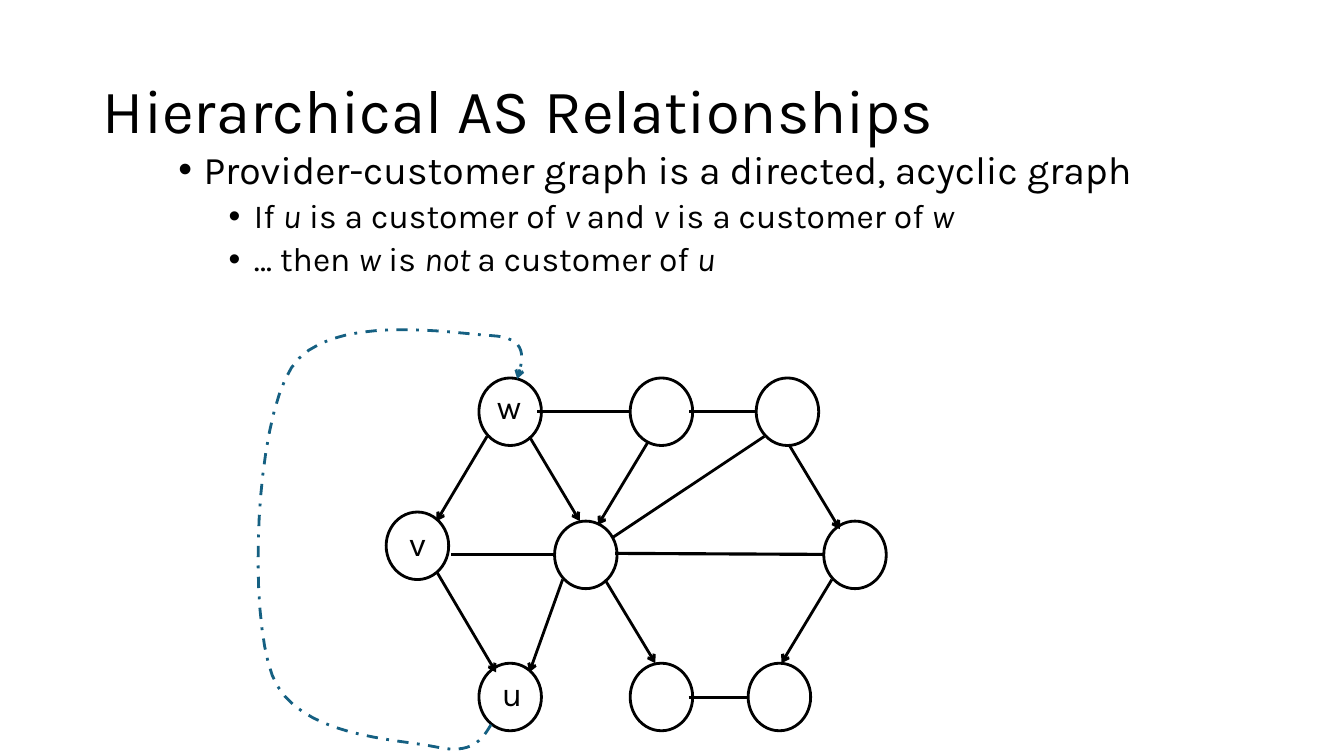
from lxml import etree
from pptx import Presentation
from pptx.dml.color import RGBColor
from pptx.enum.dml import MSO_LINE
from pptx.enum.shapes import MSO_CONNECTOR, MSO_SHAPE
from pptx.enum.text import MSO_ANCHOR, MSO_AUTO_SIZE, PP_ALIGN
from pptx.oxml.ns import qn
from pptx.util import Inches, Pt

STRAIGHT = MSO_CONNECTOR.STRAIGHT
OVAL = MSO_SHAPE.OVAL
DASH_DOT = MSO_LINE.DASH_DOT
MIDDLE = MSO_ANCHOR.MIDDLE
LEFT = PP_ALIGN.LEFT
NO_FIT, GROW = MSO_AUTO_SIZE.NONE, MSO_AUTO_SIZE.SHAPE_TO_FIT_TEXT

COLORS = {"ink": "000000", "cycle": "156082"}
FONT = "Karla"
NODE_WIDTH, NODE_HEIGHT = 0.62, 0.67
CURVE_STEPS = 16


def add_run(para, text, size, italic=False):
    span = para.add_run()
    span.text = text
    for name, value in {"name": FONT, "size": Pt(size), "italic": italic}.items():
        setattr(span.font, name, value)
    span.font.color.rgb = RGBColor.from_string(COLORS["ink"])


def style_line(shape, color="ink", width=2, arrow=False, dash=None):
    """Set the outline, with an optional open arrowhead, and drop the shadow."""
    shape.line.color.rgb = RGBColor.from_string(COLORS[color])
    shape.line.width = Pt(width)
    if dash:
        shape.line.dash_style = dash
    properties = shape._element.spPr
    if arrow:
        etree.SubElement(properties.find(qn("a:ln")), qn("a:tailEnd"), type="arrow")
    etree.SubElement(properties, qn("a:effectLst"))


deck = Presentation()
deck.slide_width, deck.slide_height = Inches(13.33), Inches(7.5)
page = deck.slides.add_slide(deck.slide_layouts[5])

# Title
title = page.shapes.title
title_place = {"left": 0.92, "top": 0.4, "width": 11.5, "height": 1.45}
for name, value in title_place.items():
    setattr(title, name, Inches(value))
title.text_frame.vertical_anchor = MIDDLE
title.text_frame.auto_size = NO_FIT
heading = title.text_frame.paragraphs[0]
heading.alignment = LEFT
heading.line_spacing = 0.9
add_run(heading, "Hierarchical AS Relationships", 44)

# Bullets: level, size, space before, left margin, then runs alternating upright and italic
bullets = [
    (0, 28, 10, 0.25, ["Provider-customer graph is a directed, acyclic graph"]),
    (1, 24, 5, 0.75, ["If ", "u", " is a customer of ", "v ", "and ", "v",
                      " is a customer of ", "w"]),
    (1, 24, 5, 0.75, ["… then ", "w", " is ", "not ", "a customer of ", "u"]),
]
body = page.shapes.add_textbox(Inches(1.67), Inches(1.44), Inches(9.89), Inches(1.82))
body.text_frame.word_wrap = True
for index, (level, size, space, margin, texts) in enumerate(bullets):
    para = body.text_frame.add_paragraph() if index else body.text_frame.paragraphs[0]
    para_format = {"level": level, "line_spacing": 0.9, "space_before": Pt(space)}
    for name, value in para_format.items():
        setattr(para, name, value)
    properties = para._p.get_or_add_pPr()
    properties.set("marL", str(Inches(margin)))
    properties.set("indent", str(Inches(-0.25)))
    etree.SubElement(properties, qn("a:buFont"), typeface="Arial")
    etree.SubElement(properties, qn("a:buChar"), char="•")
    for position, text in enumerate(texts):
        add_run(para, text, size, italic=position % 2 == 1)

# Networks: top of each row and the left edges in it
node_rows = [
    (3.75, [4.75, 6.25, 7.5]),
    (5.08, [3.83]),
    (5.17, [5.5, 8.17]),
    (6.58, [4.75, 6.25, 7.42]),
]
for top, lefts in node_rows:
    for left in lefts:
        node = page.shapes.add_shape(OVAL, Inches(left), Inches(top),
                                     Inches(NODE_WIDTH), Inches(NODE_HEIGHT))
        node.fill.background()
        style_line(node)

# Peer links are plain; provider-to-customer links end in an arrow
peer_links = [
    (6.1, 5.49, 8.17, 5.5, 2.25),
    (5.5, 5.5, 4.47, 5.5, 2),
    (6.83, 6.92, 7.42, 6.92, 2.25),
    (6.25, 4.08, 5.33, 4.08, 2),
    (7.5, 4.08, 6.83, 4.08, 2),
    (7.58, 4.33, 6.08, 5.33, 2),
]
customer_links = [
    (5.25, 4.33, 5.75, 5.17, 2),
    (7.83, 4.42, 8.33, 5.25, 2),
    (6.43, 4.38, 5.93, 5.21, 2),
    (5.58, 5.75, 5.25, 6.67, 2),
    (6, 5.75, 6.5, 6.58, 2),
    (8.25, 5.75, 7.75, 6.58, 2),
    (4.33, 5.67, 4.92, 6.67, 2),
    (4.83, 4.33, 4.33, 5.17, 2),
]
for links, arrow in [(peer_links, False), (customer_links, True)]:
    for *ends, width in links:
        link = page.shapes.add_connector(STRAIGHT, *map(Inches, ends))
        style_line(link, width=width, arrow=arrow)

# Node names
for name, left, top, width in [("u", 4.88, 6.63, 0.39), ("v", 3.96, 5.14, 0.37),
                               ("w", 4.83, 3.78, 0.44)]:
    box = page.shapes.add_textbox(Inches(left), Inches(top), Inches(width), Inches(0.5))
    box.text_frame.word_wrap = False
    box.text_frame.auto_size = GROW
    add_run(box.text_frame.paragraphs[0], name, 24)

# Forbidden link from u back to w: Bezier segments as two controls and an end
cycle_start = (4.87, 7.19)
cycle_segments = [
    [(4.78, 7.34), (4.68, 7.49), (4.32, 7.41)],
    [(3.95, 7.33), (2.94, 7.32), (2.7, 6.7)],
    [(2.46, 6.07), (2.53, 4.21), (2.89, 3.65)],
    [(3.25, 3.09), (4.5, 3.31), (4.87, 3.33)],
    [(5.25, 3.35), (5.19, 3.56), (5.13, 3.76)],
]
curve = []
segment_start = cycle_start
for segment in cycle_segments:
    corners = [segment_start, *segment]
    for step in range(1, CURVE_STEPS + 1):
        t = step / CURVE_STEPS
        weights = [(1 - t) ** 3, 3 * t * (1 - t) ** 2, 3 * t * t * (1 - t), t ** 3]
        curve.append(tuple(Inches(sum(w * corner[axis] for w, corner in zip(weights, corners)))
                           for axis in (0, 1)))
    segment_start = segment[-1]
builder = page.shapes.build_freeform(*map(Inches, cycle_start))
builder.add_line_segments(curve, close=False)
cycle = builder.convert_to_shape()
cycle.fill.background()
style_line(cycle, color="cycle", arrow=True, dash=DASH_DOT)

deck.save("out.pptx")
